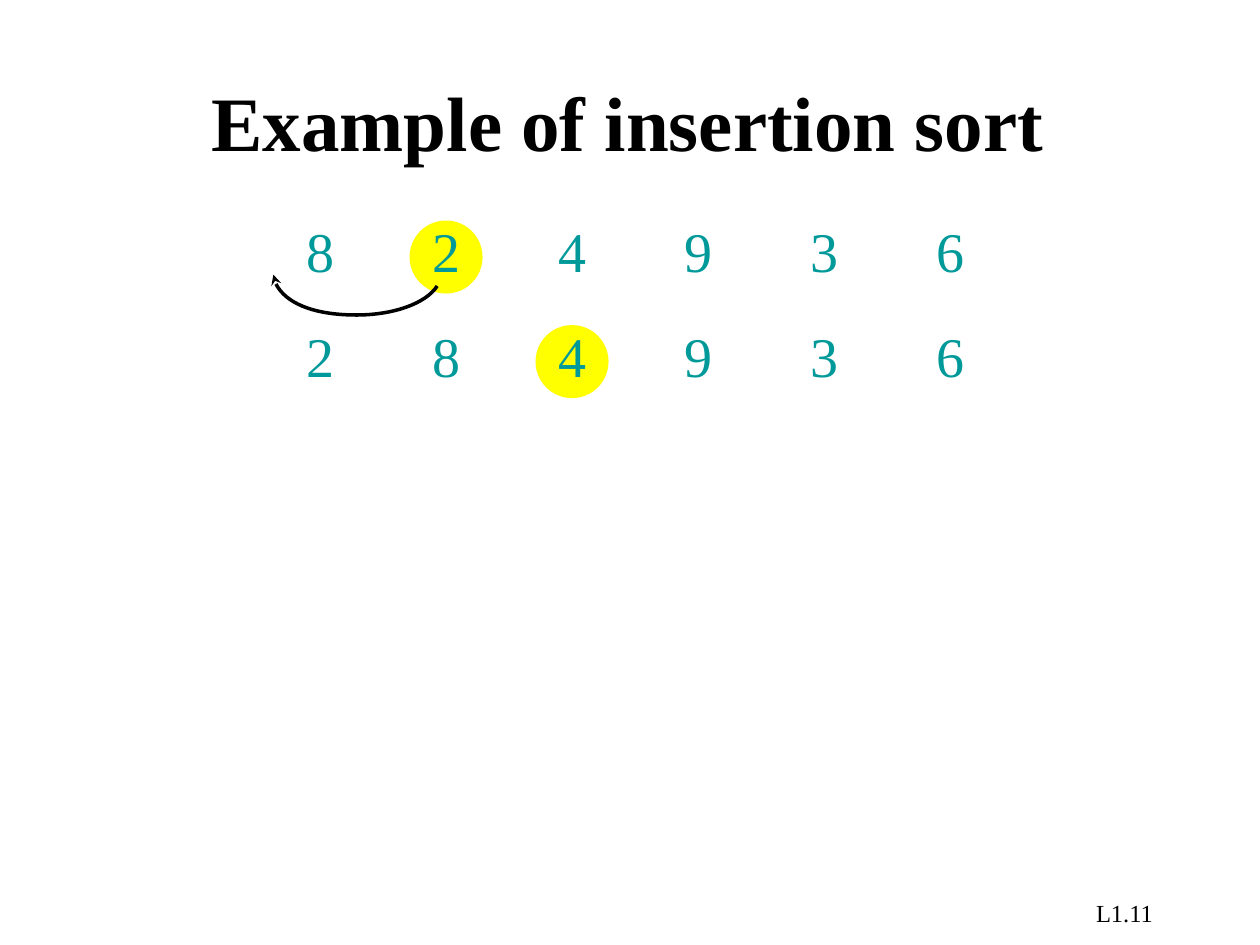
from lxml.etree import SubElement
from pptx import Presentation
from pptx.dml.color import RGBColor
from pptx.enum.shapes import MSO_SHAPE
from pptx.enum.text import MSO_ANCHOR, MSO_AUTO_SIZE, PP_ALIGN
from pptx.oxml.ns import qn
from pptx.util import Inches, Pt

BLACK = RGBColor(0x00, 0x00, 0x00)
TEAL = RGBColor(0x00, 0x99, 0x99)
YELLOW = RGBColor(0xFF, 0xFF, 0x00)
FONT = "Times New Roman"

FIRST_X = 2.33
COLUMN_STEP = 1
CIRCLE_SIZE = 0.58


def add_text(shapes, text, x, y, w, h, size, color=BLACK, bold=False,
             align=PP_ALIGN.LEFT, anchor=MSO_ANCHOR.TOP, wrap=True,
             auto_size=MSO_AUTO_SIZE.NONE):
    """Add a text box holding one formatted run."""
    sp = shapes.add_textbox(Inches(x), Inches(y), Inches(w), Inches(h))
    tf = sp.text_frame
    tf.word_wrap = wrap
    tf.auto_size = auto_size
    tf.vertical_anchor = anchor
    p = tf.paragraphs[0]
    p.alignment = align
    r = p.add_run()
    r.text = text
    r.font.name = FONT
    r.font.size = Pt(size)
    r.font.bold = bold
    r.font.color.rgb = color


def add_circle(shapes, x, y):
    """Add the disc that marks the current key."""
    sp = shapes.add_shape(MSO_SHAPE.OVAL, Inches(x), Inches(y),
                          Inches(CIRCLE_SIZE), Inches(CIRCLE_SIZE))
    sp.shadow.inherit = False
    sp.fill.solid()
    sp.fill.fore_color.rgb = YELLOW
    sp.line.fill.background()


def add_number_row(shapes, numbers, key, y):
    """Add one state of the array, with the item at index key marked."""
    add_circle(shapes, FIRST_X + key * COLUMN_STEP - 0.08, y + 0.08)
    for i, number in enumerate(numbers):
        add_text(shapes, str(number), FIRST_X + i * COLUMN_STEP, y, 0.42, 0.63,
                 size=32, color=TEAL, align=PP_ALIGN.CENTER, wrap=False,
                 auto_size=MSO_AUTO_SIZE.SHAPE_TO_FIT_TEXT)


def add_curved_arrow(shapes, start, controls):
    """Add an open Bezier curve with an arrowhead; three points per segment."""
    points = [(Inches(x), Inches(y)) for x, y in controls]
    builder = shapes.build_freeform(Inches(start[0]), Inches(start[1]))
    builder.add_line_segments(points, close=False)
    sp = builder.convert_to_shape()
    sp.shadow.inherit = False
    sp.fill.background()
    sp.line.color.rgb = BLACK
    sp.line.width = Pt(2)

    outline = next(sp.element.iter(qn("a:path")))
    lines = outline.findall(qn("a:lnTo"))
    for i in range(0, len(lines), 3):
        curve = SubElement(outline, qn("a:cubicBezTo"))
        for line in lines[i:i + 3]:
            curve.append(line[0])
            outline.remove(line)
    SubElement(sp.line._get_or_add_ln(), qn("a:tailEnd"), type="stealth")


def main():
    """Build the slide and save it."""
    prs = Presentation()
    prs.slide_width, prs.slide_height = Inches(10), Inches(7.5)
    s = prs.slides.add_slide(prs.slide_layouts[6])

    add_text(s.shapes, "L1.11", 7.17, 7.08, 2.08, 0.25, size=14,
             align=PP_ALIGN.RIGHT)
    add_text(s.shapes, "Example of insertion sort", 1.58, 0.33, 8.25, 1.25,
             size=44, bold=True, anchor=MSO_ANCHOR.MIDDLE)

    first_step = s.shapes.add_group_shape().shapes
    add_number_row(first_step, [8, 2, 4, 9, 3, 6], key=1, y=1.67)
    add_curved_arrow(first_step, (3.47, 2.27),
                     [(3.38, 2.41), (3.12, 2.5), (2.83, 2.5),
                      (2.47, 2.5), (2.18, 2.36), (2.17, 2.18)])
    add_number_row(s.shapes, [2, 8, 4, 9, 3, 6], key=2, y=2.5)

    prs.save("out.pptx")


main()
